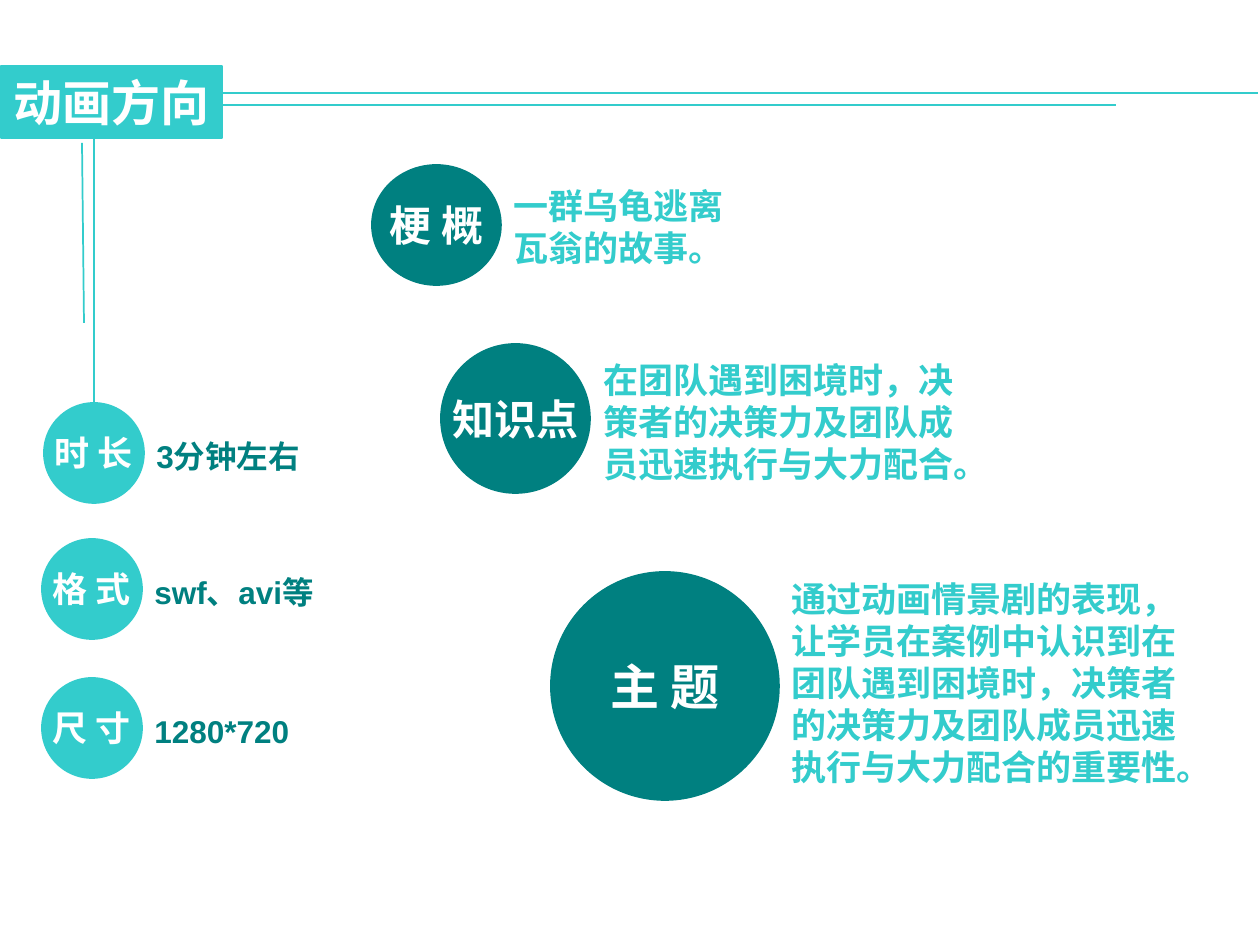
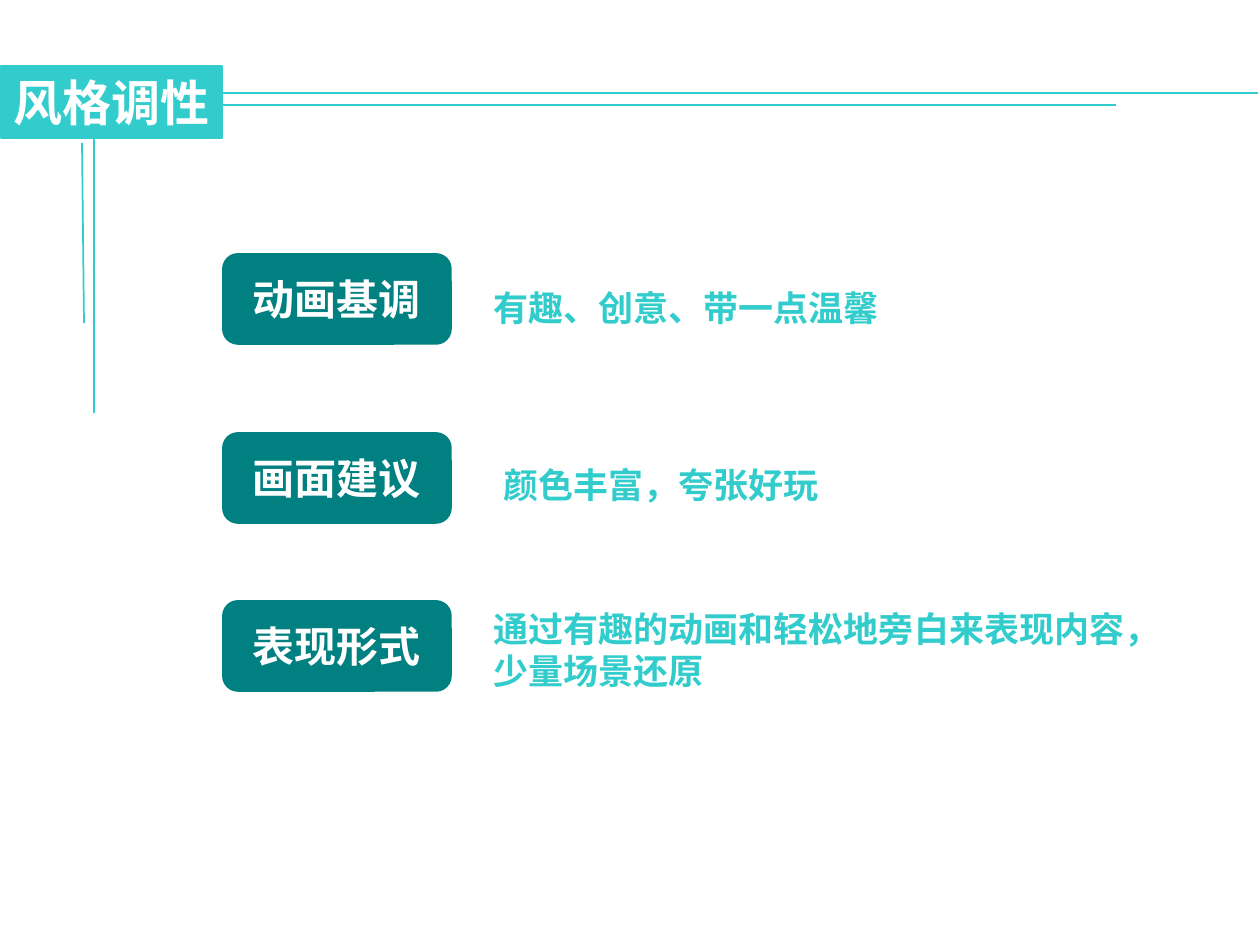
"""Build two slides on the direction and the style of a training animation."""
from dataclasses import dataclass

from lxml.etree import SubElement
from pptx import Presentation
from pptx.dml.color import RGBColor
from pptx.enum.shapes import MSO_CONNECTOR, MSO_SHAPE
from pptx.enum.text import MSO_ANCHOR, MSO_AUTO_SIZE, PP_ALIGN
from pptx.oxml.ns import qn
from pptx.util import Pt


@dataclass(frozen=True)
class Theme:
    font: str = "Arial"
    aqua: RGBColor = RGBColor(0x33, 0xCC, 0xCC)
    teal: RGBColor = RGBColor(0x00, 0x80, 0x80)
    white: RGBColor = RGBColor(0xFF, 0xFF, 0xFF)
    title: int = 28
    heading: int = 24
    body: int = 20
    detail: int = 18


THEME = Theme()
PX = 914400 / 126


def write(box, text, size, color, frame_format, paragraph_format):
    """Put one styled paragraph into a shape or text box."""
    frame = box.text_frame
    paragraph = frame.paragraphs[0]
    run = paragraph.add_run()
    run.text = text
    run.font.color.rgb = color
    font_format = {"name": THEME.font, "size": Pt(size), "bold": True}
    for target, values in ((frame, frame_format), (paragraph, paragraph_format), (run.font, font_format)):
        for attribute, value in values.items():
            setattr(target, attribute, value)


def add_badge(slide, preset, place, text, size, fill, frame_format, align=PP_ALIGN.CENTER, border=1):
    """Add a filled preset shape with a white label."""
    badge = slide.shapes.add_shape(preset, *(round(v * PX) for v in place))
    badge.shadow.inherit = False
    badge.fill.solid()
    badge.fill.fore_color.rgb = fill
    badge.line.color.rgb = fill
    badge.line.width = Pt(border)
    write(badge, text, size, THEME.white, frame_format, {"alignment": align})


CENTERED = {"word_wrap": False, "vertical_anchor": MSO_ANCHOR.MIDDLE}
TITLE_BAND = {"word_wrap": False, "vertical_anchor": MSO_ANCHOR.TOP, "auto_size": MSO_AUTO_SIZE.SHAPE_TO_FIT_TEXT}
WRAPPED = {"word_wrap": True, "auto_size": MSO_AUTO_SIZE.SHAPE_TO_FIT_TEXT}

RULES = [
    (94, 135, 94, 413),
    (82, 143, 84, 323),
    (223, 105, 1116, 105),
    (221, 93, 1258, 93),
]

DIRECTION_TOPICS = [
    ("知识点", THEME.heading, (441, 344, 149, 149),
     "在团队遇到困境时，决策者的决策力及团队成员迅速执行与大力配合。", (591, 352, 377, 139)),
    ("主 题", THEME.title, (551, 572, 228, 228),
     "通过动画情景剧的表现，让学员在案例中认识到在团队遇到困境时，决策者的决策力及团队成员迅速执行与大力配合的重要性。",
     (779, 571, 427, 223)),
    ("梗 概", THEME.heading, (372, 165, 129, 120),
     "一群乌龟逃离瓦翁的故事。", (501, 178, 238, 97)),
]

SPECS = [
    ("时 长", 44, 403, "3分钟左右", 58),
    ("格 式", 42, 539, "swf、avi等", 103),
    ("尺 寸", 42, 678, "1280*720", 58),
]

STYLE_TOPICS = [
    ("动画基调", 254, "有趣、创意、带一点温馨", (481, 272, 556, 63), 1.2),
    ("画面建议", 433, "颜色丰富，夸张好玩", (491, 449, 556, 63), 1.2),
    ("表现形式", 601, "通过有趣的动画和轻松地旁白来表现内容，少量场景还原", (481, 601, 675, 97), 1.0),
]

deck = Presentation()
deck.slide_width = round(1260 * PX)
deck.slide_height = round(945 * PX)

slides = []
for title in ("动画方向", "风格调性"):
    slide = deck.slides.add_slide(deck.slide_layouts[6])
    add_badge(slide, MSO_SHAPE.RECTANGLE, (1, 66, 221, 72), title, THEME.title,
              THEME.aqua, TITLE_BAND, PP_ALIGN.LEFT, 0.75)
    for ends in RULES:
        rule = slide.shapes.add_connector(MSO_CONNECTOR.STRAIGHT, *(round(v * PX) for v in ends))
        rule.line.color.rgb = THEME.aqua
        rule.line.width = Pt(1)
        SubElement(rule._element.spPr, qn("a:effectLst"))
    slides.append(slide)

direction, style = slides

for topic, size, circle, summary, place in DIRECTION_TOPICS:
    add_badge(direction, MSO_SHAPE.OVAL, circle, topic, size, THEME.teal, CENTERED)
    summary_box = direction.shapes.add_textbox(*(round(v * PX) for v in place))
    write(summary_box, summary, THEME.body, THEME.aqua, WRAPPED, {})

for label, left, top, value, height in SPECS:
    add_badge(direction, MSO_SHAPE.OVAL, (left, top, 100, 100), label, THEME.body, THEME.aqua, CENTERED)
    place = (left + 100, top + 20, 189, height)
    value_box = direction.shapes.add_textbox(*(round(v * PX) for v in place))
    write(value_box, value, THEME.detail, THEME.teal, WRAPPED, {"line_spacing": 1.2})

for topic, top, summary, place, spacing in STYLE_TOPICS:
    add_badge(style, MSO_SHAPE.ROUNDED_RECTANGLE, (223, top, 228, 90), topic, THEME.heading, THEME.teal, CENTERED)
    summary_box = style.shapes.add_textbox(*(round(v * PX) for v in place))
    write(summary_box, summary, THEME.body, THEME.aqua, WRAPPED, {"line_spacing": spacing})

deck.save("out.pptx")
